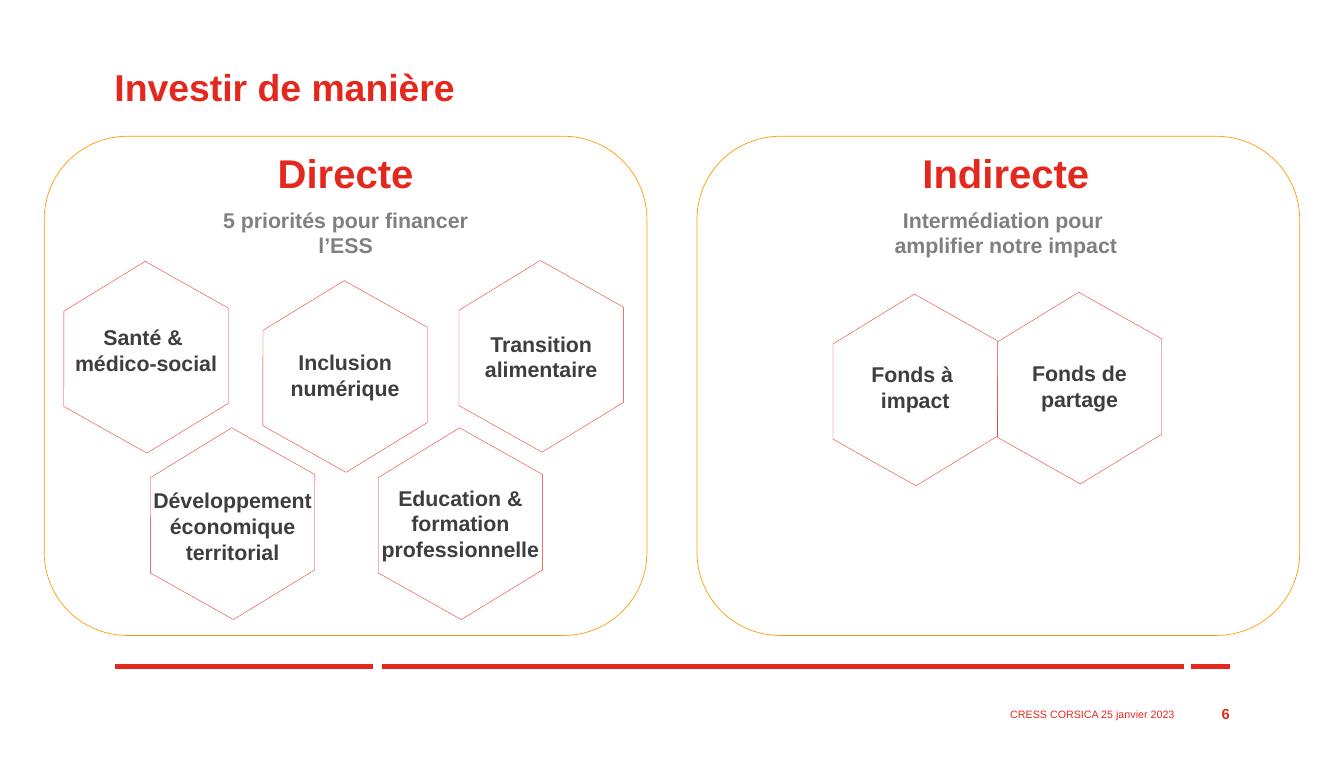
"""Build the slide on direct and indirect ways of investing."""
import pptx
import pptx.util
import pptx.dml.color
import pptx.enum.shapes
import pptx.enum.text
from lxml import etree

RED = pptx.dml.color.RGBColor(0xE5, 0x28, 0x1D)
HEX_RED = pptx.dml.color.RGBColor(0xE5, 0x2A, 0x1C)
ORANGE = pptx.dml.color.RGBColor(0xFF, 0x99, 0x00)
GREY = pptx.dml.color.RGBColor(0x80, 0x80, 0x80)
DARK = pptx.dml.color.RGBColor(0x3E, 0x3E, 0x3E)
WHITE = pptx.dml.color.RGBColor(0xFF, 0xFF, 0xFF)
SHAPE = pptx.enum.shapes.MSO_SHAPE
ALIGN = pptx.enum.text.PP_ALIGN
ANCHOR = pptx.enum.text.MSO_ANCHOR

prs = pptx.Presentation()
prs.slide_width = pptx.util.Inches(13.98)
prs.slide_height = pptx.util.Inches(7.87)
s = prs.slides.add_slide(prs.slide_layouts[5])


def area(x, y, w, h):
    """Turn columns and rows of a 100 by 100 grid into slide lengths."""
    col, row = prs.slide_width / 100, prs.slide_height / 100
    return [round(v) for v in (x * col, y * row, w * col, h * row)]


def write(text, box, sp=None, size=16, color=DARK, bold=True,
          align=ALIGN.CENTER, anchor=ANCHOR.TOP, spacing=None):
    """Write formatted text in a placeholder or a new text box."""
    sp = sp or s.shapes.add_textbox(0, 0, 0, 0)
    sp.left, sp.top, sp.width, sp.height = area(*box)
    tf = sp.text_frame
    tf.auto_size = pptx.enum.text.MSO_AUTO_SIZE.NONE
    tf.word_wrap = True
    tf.vertical_anchor = anchor
    tf.text = text
    for p in tf.paragraphs:
        p.alignment = align
        p.line_spacing = spacing
        for r in p.runs:
            r.font.name, r.font.size = "Arial", pptx.util.Pt(size)
            r.font.bold, r.font.color.rgb = bold, color


write("Investir de manière", (7.8, 8.51, 76.25, 6.48), sp=s.shapes.title,
      size=28, color=RED, align=ALIGN.LEFT, spacing=0.9)

RULE_Y = 88.06
for start, end in [(8.58, 27.75), (28.4, 88.13), (88.63, 91.49)]:
    x1, y1, x2, y2 = area(start, RULE_Y, end, RULE_Y)
    rule = s.shapes.add_connector(pptx.enum.shapes.MSO_CONNECTOR.STRAIGHT, x1, y1, x2, y2)
    rule.line.color.rgb = RED
    rule.line.width = pptx.util.Pt(4)
    etree.SubElement(rule.element.spPr, pptx.oxml.ns.qn("a:effectLst"))

HEAD_W = 21.5
panels = [
    (3.29, 25.72, "Directe", "5 priorités pour financer l’ESS"),
    (51.86, 74.85, "Indirecte", "Intermédiation pour \namplifier notre impact"),
]
for x, center, heading, subtitle in panels:
    sp = s.shapes.add_shape(SHAPE.ROUNDED_RECTANGLE, *area(x, 18, 44.85, 65.95))
    sp.shadow.inherit = False
    sp.fill.solid()
    sp.fill.fore_color.rgb = WHITE
    sp.line.color.rgb = ORANGE
    sp.line.width = pptx.util.Pt(0.5)
    left = center - HEAD_W / 2
    write(heading, (left, 19.7, HEAD_W, 6.48), size=30, color=RED, spacing=0.9)
    write(subtitle, (left, 26.68, HEAD_W, 8.13), color=GREY)

HEX_W, HEX_H, LABEL_W = 14.02, 21.98, 13.35
hexagons = [
    (3.86, 36.21, 42.19, "Santé & \nmédico-social"),
    (18.67, 38.75, 45.49, "Inclusion numérique"),
    (33.26, 36.09, 43.07, "Transition alimentaire"),
    (27.25, 58.2, 63.41, "Education & formation professionnelle"),
    (10.3, 58.2, 63.79, "Développement économique territorial"),
    (61.09, 40.53, 47.14, "Fonds à \nimpact"),
    (73.32, 40.28, 47.01, "Fonds de partage"),
]
for x, y, label_y, label in hexagons:
    sp = s.shapes.add_shape(SHAPE.HEXAGON, *area(x, y, HEX_W, HEX_H))
    sp.shadow.inherit = False
    sp.adjustments[0] = 0.28
    sp.rotation = 29.3
    sp.fill.background()
    sp.line.color.rgb = HEX_RED
    sp.line.width = pptx.util.Pt(0.25)
    write(label, (x + (HEX_W - LABEL_W) / 2, label_y, LABEL_W, 11.5))

write("CRESS CORSICA 25 janvier 2023", (48.71, 93.1, 39.41, 2.54), size=8,
      color=RED, bold=False, align=ALIGN.RIGHT, anchor=ANCHOR.MIDDLE)
write("6", (88.13, 93.01, 4.08, 2.54), size=11, color=RED,
      align=ALIGN.RIGHT, anchor=ANCHOR.MIDDLE)

prs.save("out.pptx")
